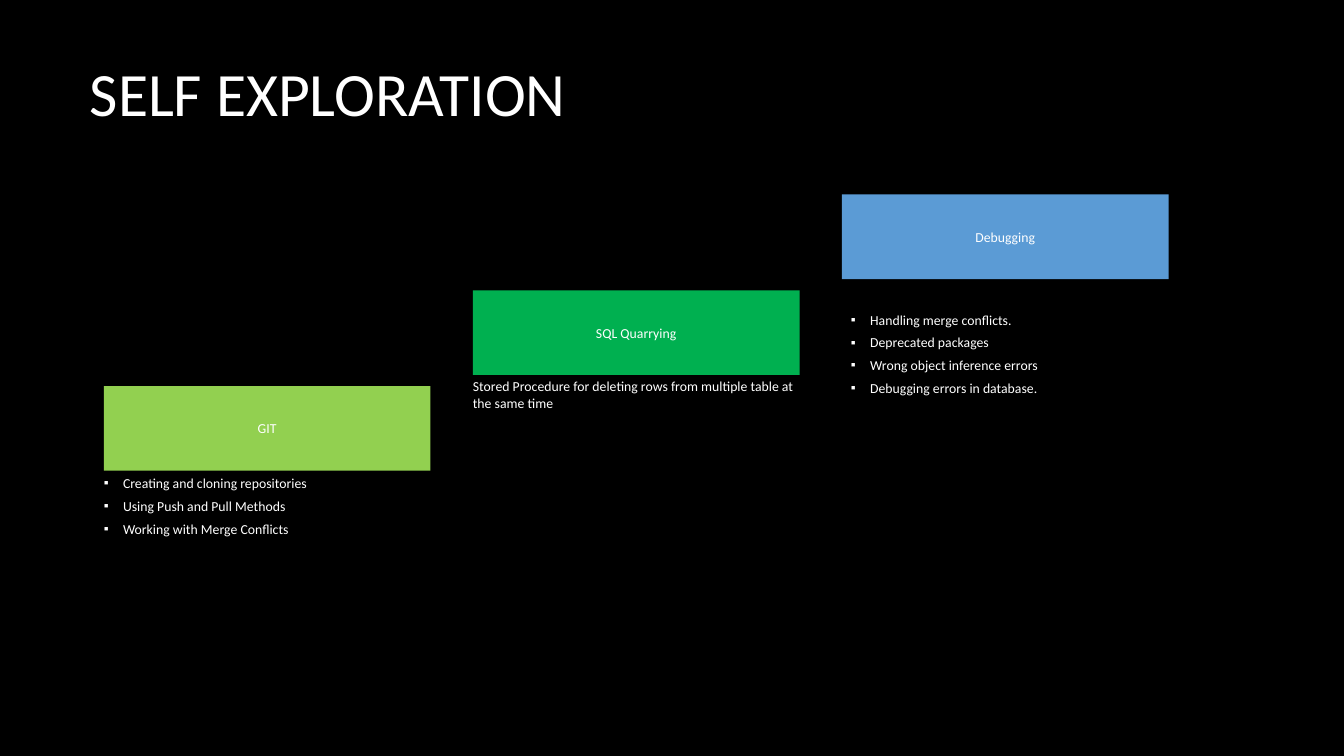
"""Build the SELF EXPLORATION slide: three rising steps with their notes."""
from dataclasses import dataclass

import lxml.etree
import pptx
import pptx.dml.color
import pptx.enum.shapes
import pptx.enum.text
import pptx.oxml.ns
import pptx.util

PX = 9144
FONT = "Calibri"
WHITE = "FFFFFF"
BOX_W, BOX_H = 324, 84
STEP_X, STEP_Y = 366, -95
FIRST_X, FIRST_Y = 103, 383
BULLET_INDENT = 19
ALIGN = pptx.enum.text.PP_ALIGN
ANCHOR = pptx.enum.text.MSO_ANCHOR


@dataclass
class Step:
    name: str
    color: str
    notes: list[str]
    note_x: int
    note_y: int
    note_h: int
    bullet: str | None = "▪"


STEPS = [
    Step("GIT", "92D050",
         ["Creating and cloning repositories",
          "Using Push and Pull Methods",
          "Working with Merge Conflicts"], 103, 471, 86),
    Step("SQL Quarrying", "00B050",
         ["Stored Procedure for deleting rows from multiple table at the same time"],
         469, 375, 172, None),
    Step("Debugging", "5B9BD5",
         ["Handling merge conflicts.",
          "Deprecated packages",
          "Wrong object inference errors",
          "Debugging errors in database."], 844, 309, 149),
]


def rgb(color: str) -> pptx.dml.color.RGBColor:
    return pptx.dml.color.RGBColor.from_string(color)


def place(sp, x: int, y: int, w: int, h: int) -> None:
    sp.left, sp.top, sp.width, sp.height = (v * PX for v in (x, y, w, h))


def set_bullet(p, bullet: str | None) -> None:
    pPr = p._p.get_or_add_pPr()
    indent = BULLET_INDENT * PX if bullet else 0
    pPr.set("marL", str(indent))
    pPr.set("indent", str(-indent))
    tag = "a:buChar" if bullet else "a:buNone"
    bu = lxml.etree.SubElement(pPr, pptx.oxml.ns.qn(tag))
    if bullet:
        bu.set("char", bullet)


def write(sp, lines: list[str], *, size: float = 9.8, align=ALIGN.LEFT,
          anchor=ANCHOR.TOP, inset: int = 0, before: float = 0,
          spacing: float = 1.0, bullet: str | None = None, grow: bool = False) -> None:
    tf = sp.text_frame
    tf.word_wrap = True
    tf.vertical_anchor = anchor
    fit = pptx.enum.text.MSO_AUTO_SIZE
    tf.auto_size = fit.SHAPE_TO_FIT_TEXT if grow else fit.NONE
    tf.margin_left = tf.margin_top = tf.margin_right = tf.margin_bottom = inset * PX
    for i, line in enumerate(lines):
        p = tf.add_paragraph() if i else tf.paragraphs[0]
        p.alignment = align
        p.line_spacing = spacing
        p.space_before = pptx.util.Pt(before)
        set_bullet(p, bullet)
        r = p.add_run()
        r.text = line
        r.font.name = FONT
        r.font.size = pptx.util.Pt(size)
        r.font.bold = False
        r.font.color.rgb = rgb(WHITE)


def add_box(slide, step: Step, x: int, y: int) -> None:
    sp = slide.shapes.add_shape(pptx.enum.shapes.MSO_SHAPE.RECTANGLE, 0, 0, 0, 0)
    place(sp, x, y, BOX_W, BOX_H)
    sp.shadow.inherit = False
    sp.fill.solid()
    sp.fill.fore_color.rgb = rgb(step.color)
    sp.line.fill.background()
    write(sp, [step.name], align=ALIGN.CENTER, anchor=ANCHOR.MIDDLE, inset=7)


def main() -> None:
    prs = pptx.Presentation()
    prs.slide_width, prs.slide_height = pptx.util.Inches(13.33), pptx.util.Inches(7.5)
    slide = prs.slides.add_slide(prs.slide_layouts.get_by_name("Comparison"))
    slide.background.fill.solid()
    slide.background.fill.fore_color.rgb = rgb("000000")

    title, *bodies = slide.placeholders
    place(title, 89, 63, 1218, 66)
    write(title, ["SELF EXPLORATION"], size=44, spacing=0.9)

    for i, (step, body) in enumerate(zip(STEPS, bodies)):
        add_box(slide, step, FIRST_X + i * STEP_X, FIRST_Y + i * STEP_Y)
        place(body, step.note_x, step.note_y, BOX_W, step.note_h)
        write(body, step.notes, before=4.5, bullet=step.bullet, grow=True)

    for spare in bodies[len(STEPS):]:
        spare.element.getparent().remove(spare.element)
    prs.save("out.pptx")


if __name__ == "__main__":
    main()
